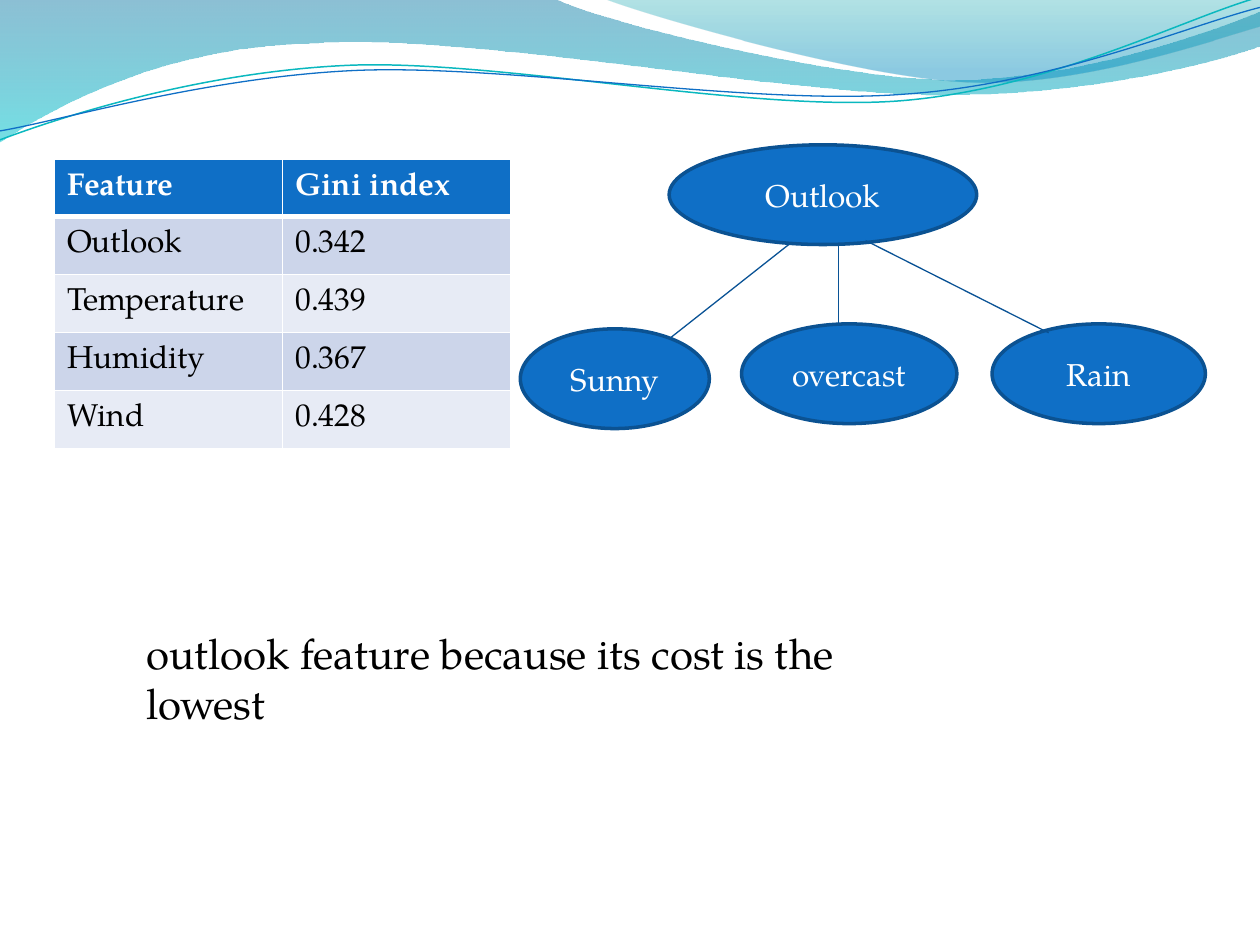
"""Build a slide showing the Gini index per feature and the first decision tree split."""
import dataclasses

import lxml.etree
import pptx
import pptx.dml.color
import pptx.enum.shapes
import pptx.enum.text
import pptx.oxml.ns
import pptx.util

Cm = pptx.util.Cm
Pt = pptx.util.Pt
RGB = pptx.dml.color.RGBColor.from_string
qn = pptx.oxml.ns.qn


@dataclasses.dataclass(frozen=True)
class Theme:
    font: str = "TeX Gyre Pagella"
    body_size: int = 18
    note_size: int = 24
    accent: str = "0F6FC6"
    node_edge: str = "0B5292"
    branch: str = "095295"
    teal: str = "0AB8BF"
    light: str = "FFFFFF"
    dark: str = "000000"
    row_bands: tuple = ("CCD5EA", "E7EBF5")
    left_swoosh: tuple = (("0074A1", 45, 0), ("00C6CF", 55, 1))
    right_swoosh: tuple = (("00A1A9", 30, 0), ("008BBF", 45, 0.8))


theme = Theme()


def style_text(frame, size, color, bold=False):
    for run in frame.paragraphs[0].runs:
        run.font.name = theme.font
        run.font.size = Pt(size)
        run.font.bold = bold
        run.font.color.rgb = RGB(color)


def draw_outline(slide, start, segments, close):
    points = [(Cm(x), Cm(y)) for segment in segments
              for x, y in zip(segment[::2], segment[1::2])]
    builder = slide.shapes.build_freeform(Cm(start[0]), Cm(start[1]))
    builder.add_line_segments(points, close=close)
    outline = builder.convert_to_shape()
    outline.shadow.inherit = False
    steps = iter(list(outline._element.iter(qn("a:lnTo"))))
    for segment in segments:
        curve = next(steps)
        if len(segment) == 6:
            curve.tag = qn("a:cubicBezTo")
            for _ in range(2):
                step = next(steps)
                curve.append(step[0])
                step.getparent().remove(step)
    return outline


deck = pptx.Presentation()
deck.slide_width, deck.slide_height = Cm(25.4), Cm(19.05)
slide = deck.slides.add_slide(deck.slide_layouts[6])

swooshes = [
    (theme.left_swoosh, (0, 0), [
        (11.18, -0.03), (12.09, 0.43, 16.87, 1.6, 19.25, 1.6),
        (21.67, 1.6, 24.33, 0.66, 25.4, 0.23), (25.43, 0.91),
        (24.97, 1.12, 22.1, 1.93, 18.95, 1.91), (15.8, 1.91, 9.7, 0.71, 6.53, 0.86),
        (3.28, 0.91, 1.17, 2.11, -0.03, 2.87)]),
    (theme.right_swoosh, (12.17, -0.03), [
        (12.93, 0.28, 17.32, 1.57, 19.53, 1.65),
        (21.74, 1.75, 24.41, 0.81, 25.4, 0.53), (25.4, 0)]),
]
for shades, start, segments in swooshes:
    swoosh = draw_outline(slide, start, segments, True)
    swoosh.line.fill.background()
    swoosh.fill.gradient()
    swoosh.fill.gradient_angle = 270
    for stop, (color, _, position) in zip(swoosh.fill.gradient_stops, shades):
        stop.color.rgb = RGB(color)
        stop.position = position
    for tint, (_, opacity, _) in zip(swoosh._element.iter(qn("a:srgbClr")), shades):
        lxml.etree.SubElement(tint, qn("a:alpha"), val=str(opacity * 1000))

waves = [
    (theme.teal, 0.85, (-0.05, 2.22), [
        (1.19, 1.82, 4.02, 1.04, 7.05, 1.05), (10.05, 1.07, 15.02, 2.37, 18.08, 2.29),
        (21.13, 2.2, 23.87, 0.91, 25.41, 0.55)]),
    (theme.accent, 0.75, (-0.04, 2.04), [
        (1.16, 1.9, 4.18, 1.15, 7.2, 1.16), (10.25, 1.18, 15.13, 2.25, 18.18, 2.16),
        (21.21, 2.1, 23.93, 1.06, 25.45, 0.75)]),
]
for color, width, start, segments in waves:
    wave = draw_outline(slide, start, segments, False)
    wave.rotation = 357.3
    wave.fill.background()
    wave.line.color.rgb = RGB(color)
    wave.line.width = Pt(width)

tree_nodes = [
    ("Outlook", 13.49, 2.92, 6.2),
    ("Sunny", 10.49, 6.63, 3.81),
    ("overcast", 14.95, 6.53, 4.34),
    ("Rain", 20, 6.53, 4.3),
]
for label, left, top, width in tree_nodes:
    node = slide.shapes.add_shape(pptx.enum.shapes.MSO_SHAPE.OVAL,
                                  Cm(left), Cm(top), Cm(width), Cm(2.01))
    node.shadow.inherit = False
    node.fill.solid()
    node.fill.fore_color.rgb = RGB(theme.accent)
    node.line.color.rgb = RGB(theme.node_edge)
    node.line.width = Pt(2)
    node.text_frame.text = label
    node.text_frame.vertical_anchor = pptx.enum.text.MSO_ANCHOR.MIDDLE
    node.text_frame.paragraphs[0].alignment = pptx.enum.text.PP_ALIGN.CENTER
    style_text(node.text_frame, theme.body_size, theme.light)

branches = [
    (15.9, 4.93, 13.49, 6.83),
    (17.45, 4.85, 21.14, 6.71),
    (16.9, 4.93, 16.9, 6.53),
]
for ends in branches:
    branch = slide.shapes.add_connector(pptx.enum.shapes.MSO_CONNECTOR.STRAIGHT,
                                        *[Cm(value) for value in ends])
    branch.line.color.rgb = RGB(theme.branch)
    branch.line.width = Pt(0.75)
    lxml.etree.SubElement(branch._element.spPr, qn("a:effectLst"))

gini_rows = [
    ("Feature", "Gini index"),
    ("Outlook", "0.342"),
    ("Temperature", "0.439"),
    ("Humidity", "0.367"),
    ("Wind", "0.428"),
]
gini_table = slide.shapes.add_table(len(gini_rows), 2, Cm(1.1), Cm(3.22),
                                    Cm(9.2), Cm(5.82)).table
for row_index, features in enumerate(gini_rows):
    is_header = row_index == 0
    gini_table.rows[row_index].height = Cm(1.14 if is_header else 1.17)
    for column_index, content in enumerate(features):
        cell = gini_table.cell(row_index, column_index)
        cell.text = content
        cell.vertical_anchor = pptx.enum.text.MSO_ANCHOR.MIDDLE
        for side in ("L", "R", "T", "B"):
            thick = (is_header and side == "B") or (row_index == 1 and side == "T")
            border = lxml.etree.SubElement(cell._tc.get_or_add_tcPr(), qn(f"a:ln{side}"),
                                           w=str(Pt(3 if thick else 1)))
            paint = lxml.etree.SubElement(border, qn("a:solidFill"))
            lxml.etree.SubElement(paint, qn("a:srgbClr"), val=theme.light)
        cell.fill.solid()
        cell.fill.fore_color.rgb = RGB(
            theme.accent if is_header else theme.row_bands[(row_index - 1) % 2])
        style_text(cell.text_frame, theme.body_size,
                   theme.light if is_header else theme.dark, is_header)

conclusion = slide.shapes.add_textbox(Cm(2.7), Cm(12.52), Cm(16.79), Cm(1.27)).text_frame
conclusion.word_wrap = True
conclusion.text = "outlook feature because its cost is the lowest"
style_text(conclusion, theme.note_size, theme.dark)

deck.save("out.pptx")
